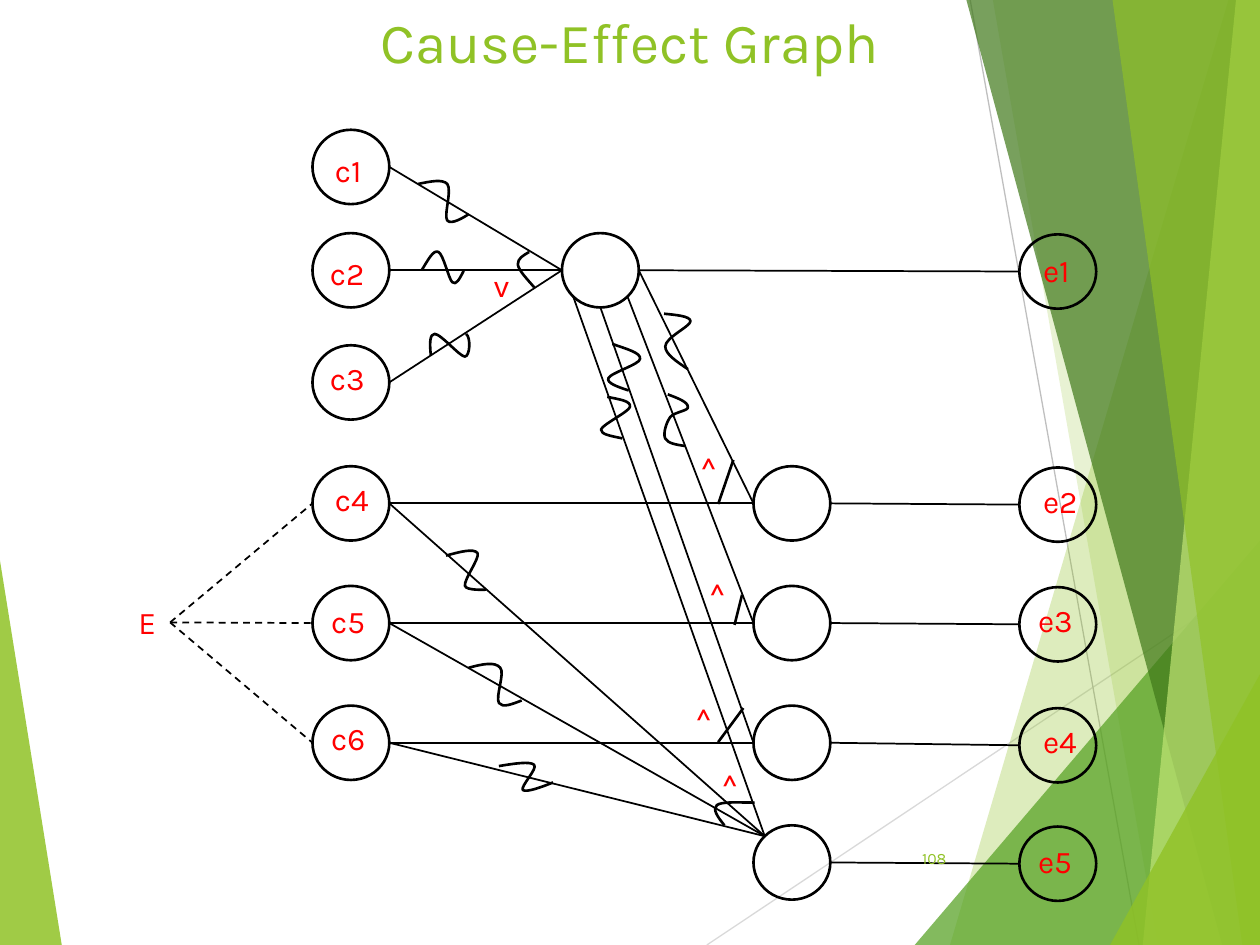
import math
import pptx
import pptx.dml.color
import pptx.enum.dml
import pptx.enum.shapes
import pptx.enum.text
import pptx.oxml.ns
import pptx.util
from lxml import etree

RGB = pptx.dml.color.RGBColor
Inches = pptx.util.Inches
ALIGN = pptx.enum.text.PP_ALIGN
ANCHOR = pptx.enum.text.MSO_ANCHOR
FIT = pptx.enum.text.MSO_AUTO_SIZE
qn = pptx.oxml.ns.qn

BLACK = RGB(0x00, 0x00, 0x00)
RED = RGB(0xFF, 0x00, 0x00)
LIME = RGB(0x90, 0xC2, 0x26)
GREEN = RGB(0x54, 0xA0, 0x21)
DARK = RGB(0x3F, 0x78, 0x19)
PALE = RGB(0xC0, 0xE4, 0x74)
SILVER = RGB(0xD9, 0xD9, 0xD9)
GREY = RGB(0xBF, 0xBF, 0xBF)

WIDE, HIGH = 10, 7.5
NODE_W, NODE_H = 0.61, 0.59

# Backdrop: corners, colour, opacity in percent
LEFT_BAND = ([(0, 4.45), (0.49, HIGH), (0, HIGH)], LIME, 85)
RAYS = [((5.61, HIGH), (WIDE, 4.57), SILVER), ((7.7, 0), (9.04, HIGH), GREY)]
BANDS = [
    ([(9.75, 0), (7.54, HIGH), (WIDE, HIGH), (WIDE, 0)], LIME, 30),
    ([(7.88, 0), (9.19, HIGH), (WIDE, HIGH), (WIDE, 0)], LIME, 20),
    ([(7.26, HIGH), (WIDE, 4.29), (WIDE, HIGH)], GREEN, 72),
    ([(7.67, 0), (9.7, HIGH), (WIDE, HIGH), (WIDE, 0)], DARK, 70),
    ([(9.81, 0), (9.07, HIGH), (WIDE, HIGH), (WIDE, 0)], PALE, 70),
    ([(8.83, 0), (9.86, HIGH), (WIDE, HIGH), (WIDE, 0)], LIME, 65),
    ([(8.81, HIGH), (WIDE, 5.35), (WIDE, HIGH)], LIME, 80),
]

# Graph columns: left edge, then the top of each node
COLUMNS = [
    (2.48, {"c1": 1.03, "c2": 1.85, "c3": 2.74, "c4": 3.7, "c5": 4.65, "c6": 5.6}),
    (4.46, {"or": 1.85}),
    (5.98, {"and2": 3.7, "and3": 4.65, "and4": 5.6, "and5": 6.55}),
    (8.09, {"e1": 1.86, "e2": 3.71, "e3": 4.66, "e4": 5.62, "e5": 6.56}),
]
# Where each label sits inside its node
SHIFTS = {
    "c1": (0.08, 0.12), "c2": (0.04, 0.12), "c3": (0.04, 0.06),
    "c4": (0.08, 0.06), "c5": (0.05, 0.08), "c6": (0.05, 0.06),
    "e1": (0.09, 0.08), "e2": (0.09, 0.07), "e3": (0.05, 0.06),
    "e4": (0.09, 0.06), "e5": (0.05, 0.07),
}
SIGNS = [("E", 1, 4.74), ("v", 3.82, 2.06), ("^", 5.46, 3.49),
         ("^", 5.53, 4.49), ("^", 5.42, 5.48), ("^", 5.63, 6.01)]

# Points on a node's rim, in degrees clockwise from the right
RIGHT, LOW_RIGHT, BOTTOM, LOW_LEFT, LEFT, UP_LEFT = 0, 45, 90, 135, 180, 225
EDGES = [(a, RIGHT, b, LEFT) for a, b in [
    ("c1", "or"), ("c2", "or"), ("c3", "or"), ("or", "e1"),
    ("c4", "and2"), ("and2", "e2"), ("c5", "and3"), ("and3", "e3"),
    ("c6", "and4"), ("and4", "e4"), ("and5", "e5"), ("or", "and2")]]
EDGES += [("or", LOW_RIGHT, "and3", LEFT), ("or", BOTTOM, "and4", LEFT),
          ("or", LOW_LEFT, "and5", UP_LEFT)]
EDGES += [(name, RIGHT, "and5", UP_LEFT) for name in ("c4", "c5", "c6")]
FORK = (1.35, 4.94)
DOT = (3.14, 4.94)

# Negation waves and joining arcs: a start, then three points per curve
CURVES = [
    [(3.32, 1.46), (3.42, 1.44), (3.51, 1.42), (3.55, 1.46), (3.59, 1.51),
     (3.52, 1.71), (3.55, 1.75), (3.58, 1.79), (3.69, 1.72), (3.72, 1.7)],
    [(3.35, 2.14), (3.4, 2.06), (3.44, 1.98), (3.48, 2), (3.52, 2.02),
     (3.56, 2.21), (3.59, 2.24), (3.62, 2.27), (3.65, 2.21), (3.68, 2.15)],
    [(3.42, 2.82), (3.41, 2.73), (3.41, 2.65), (3.45, 2.65), (3.5, 2.65),
     (3.65, 2.83), (3.69, 2.83), (3.73, 2.83), (3.74, 2.68), (3.7, 2.65)],
    [(3.54, 4.41), (3.65, 4.38), (3.76, 4.35), (3.79, 4.39), (3.81, 4.43),
     (3.68, 4.6), (3.69, 4.65), (3.7, 4.69), (3.86, 4.68), (3.86, 4.68)],
    [(3.72, 5.3), (3.83, 5.27), (3.93, 5.25), (3.97, 5.3), (4.01, 5.34),
     (3.93, 5.53), (3.96, 5.58), (3.99, 5.62), (4.06, 5.59), (4.14, 5.56)],
    [(3.96, 6.08), (4.08, 6.06), (4.21, 6.04), (4.24, 6.07), (4.27, 6.1),
     (4.13, 6.24), (4.15, 6.27), (4.18, 6.29), (4.29, 6.25), (4.39, 6.21)],
    [(5.27, 2.49), (5.37, 2.5), (5.48, 2.51), (5.48, 2.55), (5.48, 2.59),
     (5.28, 2.68), (5.28, 2.75), (5.28, 2.81), (5.37, 2.87), (5.46, 2.93)],
    [(5.3, 3.13), (5.38, 3.16), (5.46, 3.19), (5.46, 3.23), (5.47, 3.26),
     (5.35, 3.27), (5.32, 3.31), (5.29, 3.35), (5.26, 3.44), (5.28, 3.48),
     (5.3, 3.52), (5.37, 3.53), (5.44, 3.54)],
    [(4.86, 2.73), (4.97, 2.77), (5.09, 2.8), (5.08, 2.85), (5.08, 2.89),
     (4.85, 2.96), (4.83, 3), (4.81, 3.04), (4.9, 3.07), (4.99, 3.1)],
    [(4.82, 3.15), (4.91, 3.17), (5.01, 3.18), (5, 3.23), (4.99, 3.27),
     (4.78, 3.37), (4.77, 3.41), (4.77, 3.45), (4.85, 3.46), (4.94, 3.48)],
    [(4.24, 2.28), (4.18, 2.21), (4.12, 2.15), (4.11, 2.1), (4.11, 2.05),
     (4.15, 2.03), (4.2, 2)],
    [(5.75, 6.55), (5.7, 6.49), (5.65, 6.42), (5.69, 6.39), (5.73, 6.36),
     (5.86, 6.37), (5.99, 6.37)],
]
TICKS = [[(5.7, 4), (5.82, 3.65)], [(5.83, 4.96), (5.89, 4.72)],
         [(5.7, 5.89), (5.9, 5.62)]]

deck = pptx.Presentation()
deck.slide_width, deck.slide_height = Inches(WIDE), Inches(HIGH)
slide = deck.slides.add_slide(deck.slide_layouts[5])
shapes = slide.shapes


def write(shape, text, size=18, color=RED, align=ALIGN.LEFT, anchor=ANCHOR.TOP,
          fit=FIT.SHAPE_TO_FIT_TEXT):
    frame = shape.text_frame
    frame.word_wrap = True
    frame.auto_size = fit
    frame.vertical_anchor = anchor
    para = frame.paragraphs[0]
    para.alignment = align
    run = para.add_run()
    run.text = text
    run.font.name = "Karla"
    run.font.size = pptx.util.Pt(size)
    run.font.color.rgb = color


def add_box(left, top, width, height=0.4):
    return shapes.add_textbox(*map(Inches, (left, top, width, height)))


def add_line(start, end, color=BLACK, width=1, dash=False):
    line = shapes.add_connector(pptx.enum.shapes.MSO_CONNECTOR.STRAIGHT,
                                *map(Inches, (*start, *end)))
    line.line.color.rgb = color
    line.line.width = pptx.util.Pt(width)
    if dash:
        line.line.dash_style = pptx.enum.dml.MSO_LINE.DASH
    etree.SubElement(line._element.spPr, qn("a:effectLst"))


def outline(shape):
    shape.shadow.inherit = False
    shape.fill.background()
    shape.line.color.rgb = BLACK
    shape.line.width = pptx.util.Pt(1.5)


def add_form(points, close=False):
    spots = [(Inches(x), Inches(y)) for x, y in points]
    form = shapes.build_freeform(*spots[0])
    form.add_line_segments(spots[1:], close=close)
    return form.convert_to_shape()


def add_band(points, color, alpha):
    band = add_form(points, close=True)
    band.shadow.inherit = False
    band.line.fill.background()
    band.fill.solid()
    band.fill.fore_color.rgb = color
    tint = band._element.spPr.find(".//" + qn("a:srgbClr"))
    etree.SubElement(tint, qn("a:alpha")).set("val", str(alpha * 1000))


def bend(shape):
    """Join each three line steps of a freeform into one cubic curve."""
    steps = list(shape._element.iter(qn("a:lnTo")))
    for i in range(0, len(steps), 3):
        curve = etree.Element(qn("a:cubicBezTo"))
        steps[i].addprevious(curve)
        for step in steps[i:i + 3]:
            curve.append(step[0])
            step.getparent().remove(step)
    return shape


nodes = {name: (left, top) for left, tops in COLUMNS for name, top in tops.items()}


def rim(name, angle):
    left, top = nodes[name]
    turn = math.radians(angle)
    return (left + NODE_W / 2 * (1 + math.cos(turn)),
            top + NODE_H / 2 * (1 + math.sin(turn)))


add_band(*LEFT_BAND)
for start, end, color in RAYS:
    add_line(start, end, color, 0.75)
for band in BANDS:
    add_band(*band)

title = shapes.title
title.left, title.top, title.width, title.height = map(Inches, (0, 0, WIDE, 0.65))
write(title, "Cause-Effect Graph", size=32.4, color=LIME, align=ALIGN.CENTER,
      anchor=ANCHOR.MIDDLE, fit=FIT.NONE)

for left, top in nodes.values():
    outline(shapes.add_shape(pptx.enum.shapes.MSO_SHAPE.OVAL,
                             *map(Inches, (left, top, NODE_W, NODE_H))))
for name, (right, down) in SHIFTS.items():
    left, top = nodes[name]
    write(add_box(left + right, top + down, NODE_W), name)

add_line(DOT, DOT, LIME)
for tail, out, head, into in EDGES:
    add_line(rim(tail, out), rim(head, into))
for name in ("c4", "c5", "c6"):
    add_line(FORK, rim(name, LEFT), dash=True)
for points in CURVES:
    outline(bend(add_form(points)))
for points in TICKS:
    outline(add_form(points))

for sign, left, top in SIGNS:
    write(add_box(left, top, 0.36), sign)
write(add_box(7.05, 6.61, 0.56), "108", size=9, color=LIME, align=ALIGN.RIGHT,
      anchor=ANCHOR.MIDDLE, fit=FIT.NONE)

deck.save("out.pptx")
